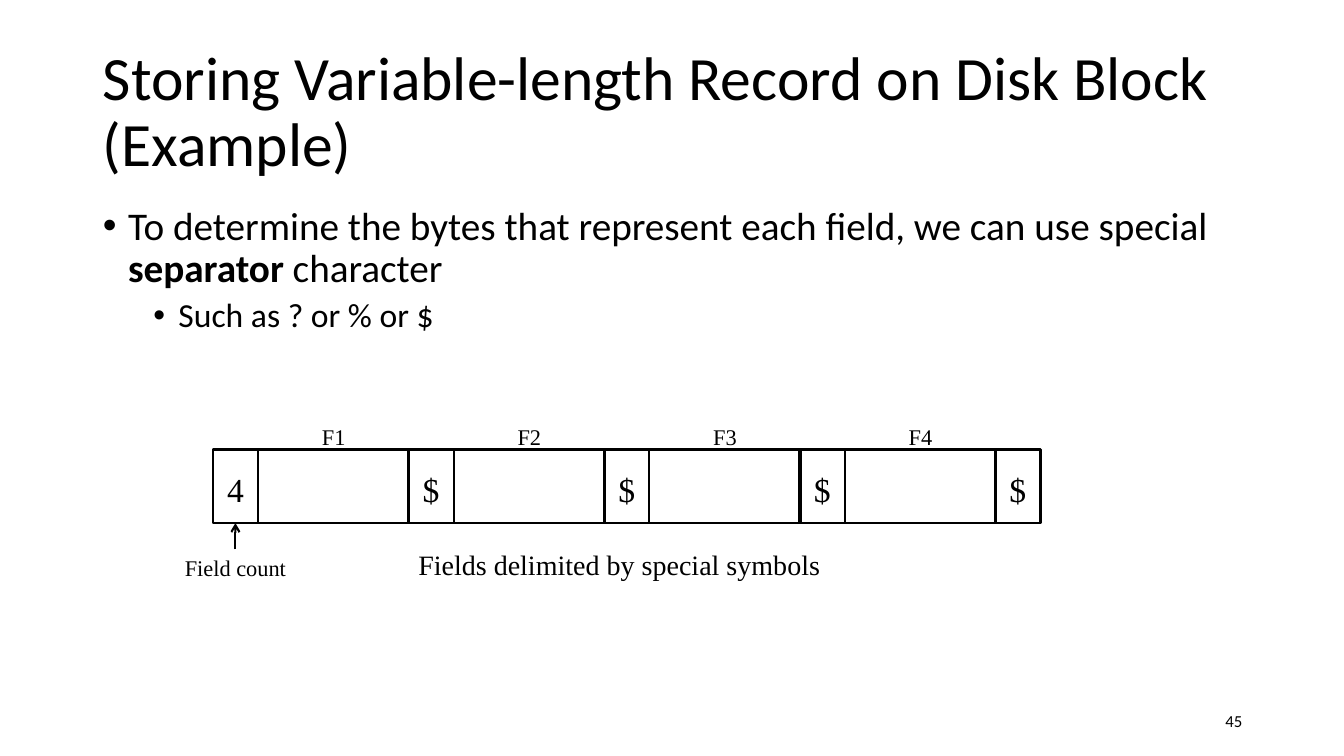
from dataclasses import dataclass

from lxml import etree
from pptx import Presentation
from pptx.dml.color import RGBColor
from pptx.enum.shapes import MSO_CONNECTOR, MSO_SHAPE
from pptx.enum.text import MSO_ANCHOR, MSO_AUTO_SIZE, PP_ALIGN
from pptx.oxml.ns import qn
from pptx.util import Inches, Pt

RECT = MSO_SHAPE.RECTANGLE
STRAIGHT = MSO_CONNECTOR.STRAIGHT
LEFT, CENTER, RIGHT = PP_ALIGN.LEFT, PP_ALIGN.CENTER, PP_ALIGN.RIGHT
TOP, MIDDLE = MSO_ANCHOR.TOP, MSO_ANCHOR.MIDDLE
NO_FIT = MSO_AUTO_SIZE.NONE

COLORS = {"ink": "000000"}
INK = RGBColor.from_string(COLORS["ink"])
SANS, SERIF = "Calibri", "Times New Roman"

RECORD_LEFT, RECORD_TOP, CELL_H = 2.11, 4.46, 0.73
MARK_W, FIELD_W, PITCH = 0.45, 1.5, 1.94
MARKS = ["4", "$", "$", "$", "$"]
FIELDS = ["F1", "F2", "F3", "F4"]


@dataclass
class Label:
    text: str
    left: float
    top: float
    width: float
    height: float
    size: float
    font: str = SERIF
    align: PP_ALIGN = CENTER
    anchor: MSO_ANCHOR = TOP


def format_runs(p, font: str, size: float) -> None:
    for r in p.runs:
        r.font.name = font
        r.font.size = Pt(size)
        r.font.color.rgb = INK


def place(s, left: float, top: float, width: float, height: float) -> None:
    s.left, s.top = Inches(left), Inches(top)
    s.width, s.height = Inches(width), Inches(height)


def add_label(slide, label: Label):
    s = slide.shapes.add_textbox(Inches(label.left), Inches(label.top),
                                 Inches(label.width), Inches(label.height))
    tf = s.text_frame
    tf.word_wrap = True
    tf.vertical_anchor = label.anchor
    tf.text = label.text
    p = tf.paragraphs[0]
    p.alignment = label.align
    format_runs(p, label.font, label.size)
    return s


def add_cell(slide, left: float, width: float):
    s = slide.shapes.add_shape(RECT, Inches(left), Inches(RECORD_TOP),
                               Inches(width), Inches(CELL_H))
    s.shadow.inherit = False
    s.fill.background()
    s.line.color.rgb = INK
    s.line.width = Pt(1.5)
    return s


def add_arrow(slide, start, end) -> None:
    """Point from the top of start to the bottom of end."""
    c = slide.shapes.add_connector(STRAIGHT, 0, 0, 0, 0)
    c.begin_connect(start, 0)
    c.end_connect(end, 2)
    c.line.color.rgb = INK
    c.line.width = Pt(1.5)
    etree.SubElement(c.line._get_or_add_ln(), qn("a:tailEnd"), type="arrow")
    etree.SubElement(c._element.spPr, qn("a:effectLst"))


def format_bullet(p, size: float, indent: float, before: float) -> None:
    p.line_spacing = 0.9
    p.space_before = Pt(before)
    pPr = p._p.get_or_add_pPr()
    pPr.set("marL", str(Inches(indent)))
    pPr.set("indent", str(Inches(-0.25)))
    etree.SubElement(pPr, qn("a:buFont"), typeface="Arial")
    etree.SubElement(pPr, qn("a:buChar"), char="•")
    format_runs(p, SANS, size)


def fill_title(s) -> None:
    place(s, 0.92, 0.4, 11.5, 1.45)
    tf = s.text_frame
    tf.text = "Storing Variable-length Record on Disk Block (Example)"
    tf.auto_size = NO_FIT
    tf.vertical_anchor = MIDDLE
    p = tf.paragraphs[0]
    p.alignment = LEFT
    p.line_spacing = 0.9
    format_runs(p, SANS, 44)


def fill_body(s) -> None:
    place(s, 0.92, 2, 11.5, 4.76)
    tf = s.text_frame
    tf.auto_size = NO_FIT
    p = tf.paragraphs[0]
    p.text = "To determine the bytes that represent each field, we can use special "
    r = p.add_run()
    r.text = "separator"
    r.font.bold = True
    p.add_run().text = " character"
    format_bullet(p, 28, 0.25, 10)
    p = tf.add_paragraph()
    p.text = "Such as ? or % or $"
    p.level = 1
    format_bullet(p, 24, 0.75, 5)


def draw_record(slide) -> None:
    mark_cells = []
    for i, mark in enumerate(MARKS):
        left = RECORD_LEFT + i * PITCH
        mark_cells.append(add_cell(slide, left, MARK_W))
        add_label(slide, Label(mark, left, 4.6, MARK_W, 0.5, 24))
        if i < len(FIELDS):
            field_left = left + MARK_W
            add_cell(slide, field_left, FIELD_W)
            name_left = field_left + (FIELD_W - MARK_W) / 2
            add_label(slide, Label(FIELDS[i], name_left, 4.15, MARK_W, 0.37, 16))

    count_w = 1.26
    count_left = RECORD_LEFT + (MARK_W - count_w) / 2
    count = add_label(slide, Label("Field count", count_left, 5.45, count_w, 0.37, 16))
    add_arrow(slide, count, mark_cells[0])
    add_label(slide, Label("Fields delimited by special symbols",
                           4.05, 5.38, 4.32, 0.44, 20, align=LEFT))


def main() -> None:
    prs = Presentation()
    prs.slide_width, prs.slide_height = Inches(13.33), Inches(7.5)
    slide = prs.slides.add_slide(prs.slide_layouts[1])
    fill_title(slide.shapes.title)
    fill_body(slide.placeholders[1])
    add_label(slide, Label("45", 9.42, 6.95, 3, 0.4, 12, SANS, RIGHT, MIDDLE))
    draw_record(slide)
    prs.save("out.pptx")


if __name__ == "__main__":
    main()
